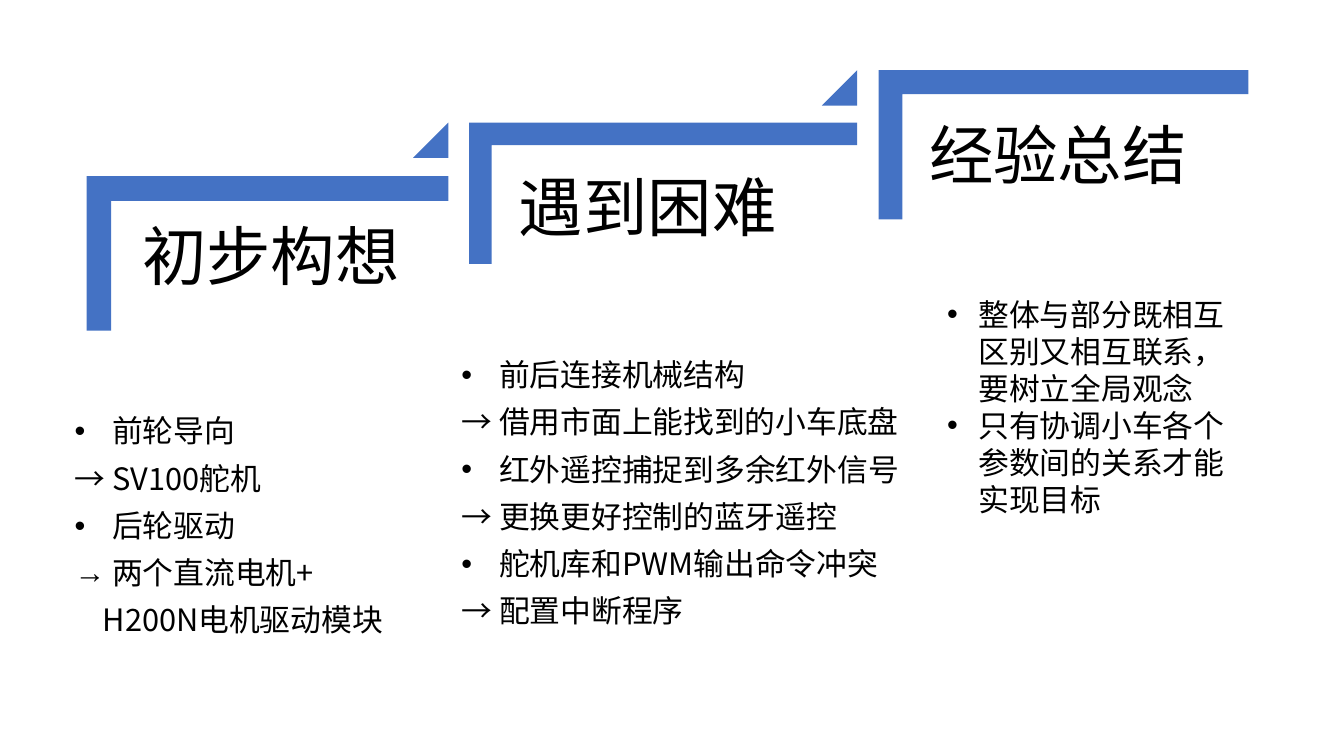
from dataclasses import dataclass

from lxml import etree
from pptx import Presentation
from pptx.dml.color import RGBColor
from pptx.enum.shapes import MSO_SHAPE
from pptx.oxml.ns import qn
from pptx.util import Cm, Pt

CORNER = MSO_SHAPE.CORNER
WEDGE = MSO_SHAPE.ISOSCELES_TRIANGLE


@dataclass(frozen=True)
class Theme:
    blue: RGBColor = RGBColor(0x44, 0x72, 0xC4)
    black: RGBColor = RGBColor(0, 0, 0)
    font: str = "Noto Sans CJK SC"
    mark: str = "Arial"
    title: int = 46
    body: int = 22


@dataclass(frozen=True)
class Box:
    left: float
    top: float
    width: float
    height: float


@dataclass(frozen=True)
class Line:
    text: str
    bullet: str = ""
    margin: float = 0


@dataclass(frozen=True)
class Step:
    title: str
    frame: Box
    label: Box
    body: Box
    lines: tuple[Line, ...]
    hang: float = 0.95
    pitch: float = 0.9
    gap: int = 10


THEME = Theme()
WEDGE_SIZE = 0.89

STEPS = (
    Step(
        "初步构想",
        Box(2.18, 4.44, 9.12, 3.89),
        Box(3.1, 5.18, 8.43, 4.06),
        Box(1.63, 10.36, 9.75, 7.21),
        (
            Line("前轮导向", "•"),
            Line("→ SV100舵机"),
            Line("后轮驱动", "•"),
            Line("两个直流电机+", "→"),
            Line("H200N电机驱动模块", margin=0.71),
        ),
    ),
    Step(
        "遇到困难",
        Box(11.82, 3.09, 9.78, 3.56),
        Box(12.6, 3.94, 7.57, 4.06),
        Box(11.38, 8.94, 11.79, 8.64),
        (
            Line("前后连接机械结构", "•"),
            Line("→ 借用市面上能找到的小车底盘"),
            Line("红外遥控捕捉到多余红外信号", "•"),
            Line("→ 更换更好控制的蓝牙遥控"),
            Line("舵机库和PWM输出命令冲突", "•"),
            Line("→ 配置中断程序"),
        ),
    ),
    Step(
        "经验总结",
        Box(22.14, 1.77, 9.32, 3.76),
        Box(22.94, 2.64, 7.92, 4.06),
        Box(23.62, 7.32, 7.8, 5.89),
        (
            Line("整体与部分既相互区别又相互联系，要树立全局观念", "•"),
            Line("只有协调小车各个参数间的关系才能实现目标", "•"),
        ),
        hang=0.79,
        pitch=1,
        gap=0,
    ),
)


def add_block(slide, kind, box: Box, *ratios: float, turn: int = 0):
    shape = slide.shapes.add_shape(
        kind, Cm(box.left), Cm(box.top), Cm(box.width), Cm(box.height)
    )
    shape.rotation = turn
    shape.shadow.inherit = False
    shape.fill.solid()
    shape.fill.fore_color.rgb = THEME.blue
    shape.line.fill.background()
    for index, ratio in enumerate(ratios):
        shape.adjustments[index] = ratio


def add_angle(slide, box: Box) -> None:
    shift = (box.width - box.height) / 2
    turned = Box(box.left + shift, box.top - shift, box.height, box.width)
    add_block(slide, CORNER, turned, 0.16, 0.16, turn=90)


def add_text(
    slide,
    box: Box,
    lines: tuple[Line, ...],
    *,
    size: int,
    hang: float = 0,
    pitch: float = 0.9,
    gap: int = 0,
    inset: tuple[float, float] = (0.25, 0.13),
) -> None:
    shape = slide.shapes.add_textbox(
        Cm(box.left), Cm(box.top), Cm(box.width), Cm(box.height)
    )
    frame = shape.text_frame
    frame.word_wrap = True
    frame.margin_left = frame.margin_right = Cm(inset[0])
    frame.margin_top = frame.margin_bottom = Cm(inset[1])
    for index, line in enumerate(lines):
        para = frame.add_paragraph() if index else frame.paragraphs[0]
        props = para._p.get_or_add_pPr()
        if line.bullet:
            props.set("marL", str(Cm(hang)))
            props.set("indent", str(-Cm(hang)))
            etree.SubElement(props, qn("a:buFont"), typeface=THEME.mark)
            etree.SubElement(props, qn("a:buChar"), char=line.bullet)
        elif line.margin:
            props.set("marL", str(Cm(line.margin)))
        para.line_spacing = pitch
        para.space_before = Pt(gap if index else 0)
        run = para.add_run()
        run.text = line.text
        run.font.size = Pt(size)
        run.font.color.rgb = THEME.black
        run.font.name = THEME.font
        etree.SubElement(run._r.get_or_add_rPr(), qn("a:ea"), typeface=THEME.font)


def add_step(slide, step: Step) -> None:
    add_angle(slide, step.frame)
    add_text(
        slide, step.label, (Line(step.title),), size=THEME.title, inset=(0.48, 0.48)
    )
    add_text(
        slide,
        step.body,
        step.lines,
        size=THEME.body,
        hang=step.hang,
        pitch=step.pitch,
        gap=step.gap,
    )


def main() -> None:
    deck = Presentation()
    deck.slide_width = Cm(33.87)
    deck.slide_height = Cm(19.05)
    slide = deck.slides.add_slide(deck.slide_layouts[6])
    for step in STEPS:
        add_step(slide, step)
    for last, step in zip(STEPS, STEPS[1:]):
        left = last.frame.left + last.frame.width - WEDGE_SIZE
        add_block(
            slide, WEDGE, Box(left, step.frame.top, WEDGE_SIZE, WEDGE_SIZE), 1
        )
    deck.save("out.pptx")


if __name__ == "__main__":
    main()
